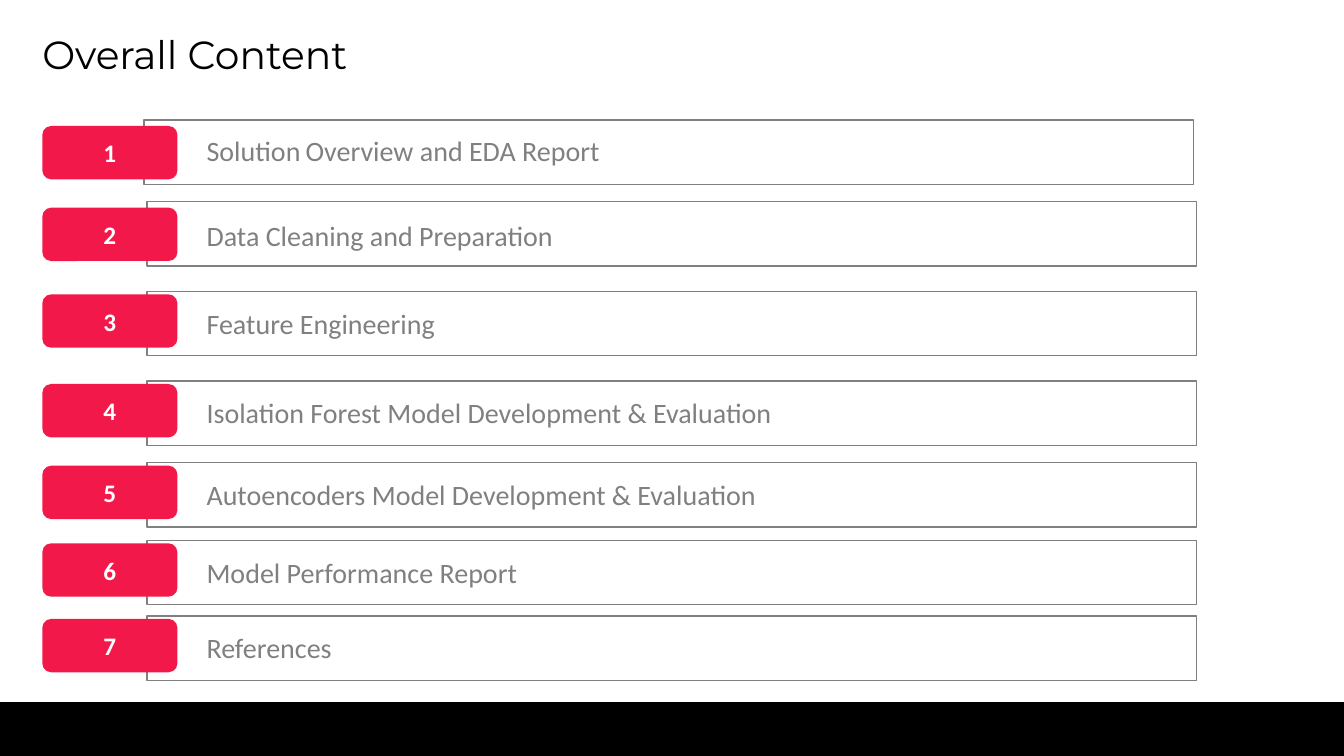
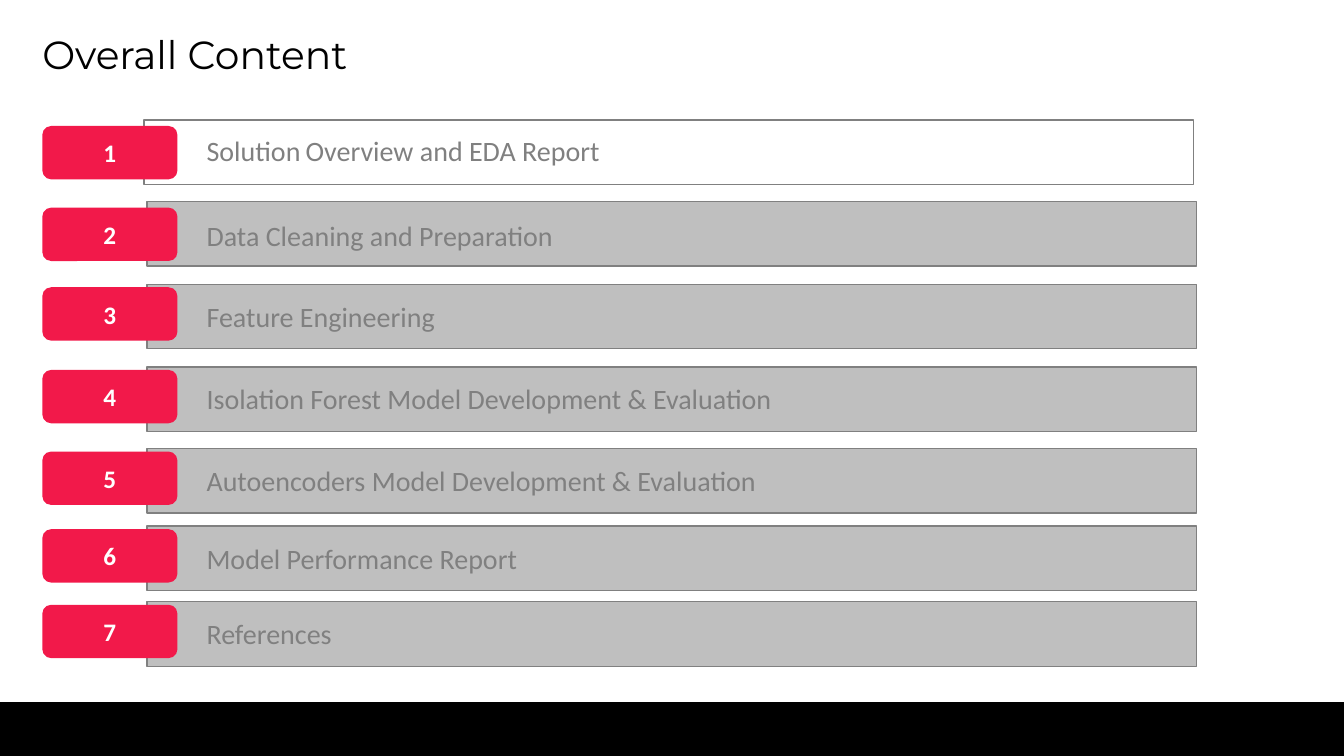
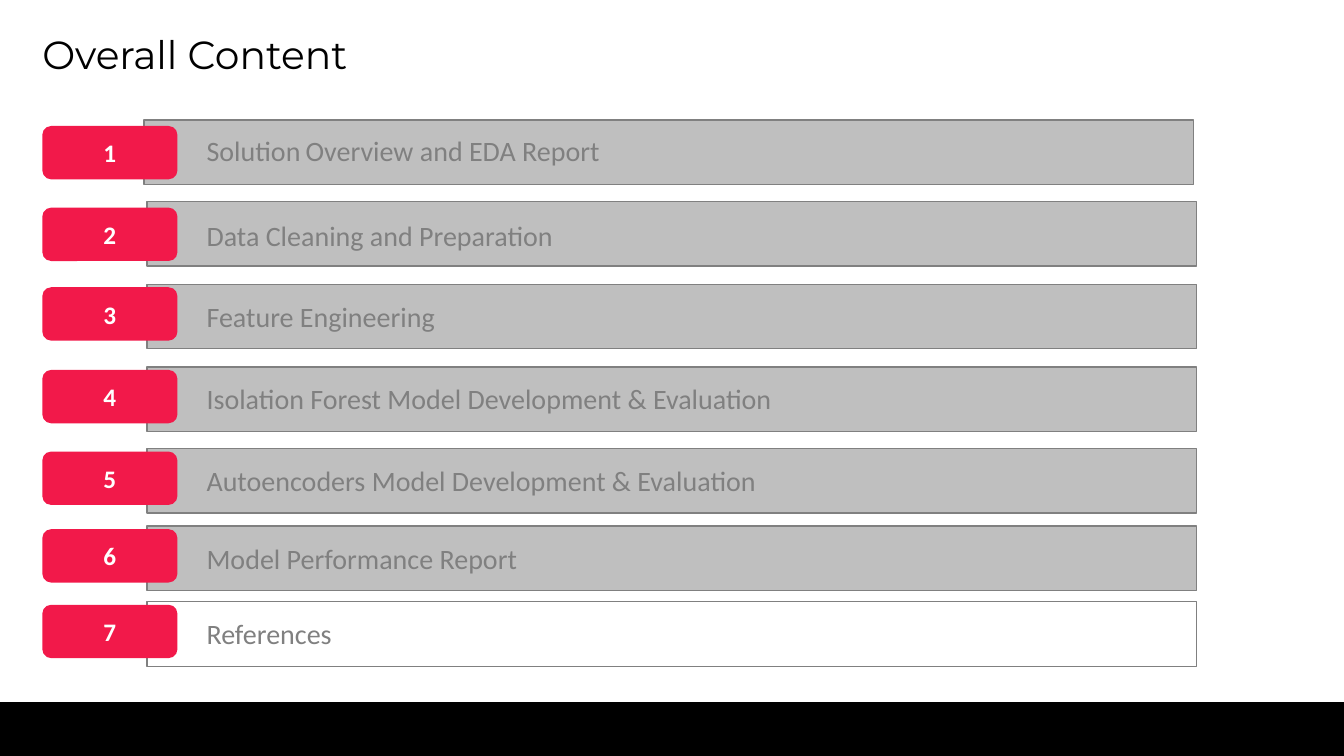
from pptx import Presentation
from pptx.dml.color import RGBColor
from pptx.enum.shapes import MSO_SHAPE
from pptx.enum.text import MSO_ANCHOR, MSO_AUTO_SIZE, PP_ALIGN
from pptx.util import Inches, Pt

# Agenda rows: text runs with sizes, bar left, bar top, badge and label offsets
AGENDA = [
    ([("Solution", 20), (" ", 16), ("Overview and EDA Report", 20)], 1.43, 1.19, 0.06, 0.03),
    ([("Data Cleaning and Preparation", 20)], 1.46, 2.0, 0.06, 0.06),
    ([("Feature Engineering", 20)], 1.46, 2.82, 0.03, 0.04),
    ([("Isolation Forest Model Development & Evaluation", 20)], 1.46, 3.64, 0.03, 0.04),
    ([("Autoencoders Model Development & Evaluation", 20)], 1.46, 4.45, 0.03, 0.04),
    ([("Model Performance Report", 20)], 1.46, 5.22, 0.03, 0.04),
    ([("References", 20)], 1.46, 5.97, 0.03, 0.04),
]
ROWS = range(1, len(AGENDA) + 1)

# Per slide: shaded row numbers, and how far rows are moved down
SLIDES = [
    (set(), {3: 0.07, 4: 0.14, 5: 0.14, 6: 0.14, 7: 0.14}),
    (set(ROWS) - {1}, {}),
    (set(ROWS) - {7}, {}),
]


def color(hex_value):
    return RGBColor.from_string(hex_value)


class AgendaDeck:
    BLACK, WHITE, RED = "000000", "FFFFFF", "F2194A"
    GRAY, SHADE = "808080", "BFBFBF"
    TITLE_FONT, BODY_FONT = "Montserrat", "Calibri"

    def __init__(self):
        self.deck = Presentation()
        self.deck.slide_width = Inches(13.33)
        self.deck.slide_height = Inches(7.5)
        self.slide = None

    # Shared parts of every slide
    def new_slide(self, heading):
        self.slide = self.deck.slides.add_slide(self.deck.slide_layouts[5])
        self.box(MSO_SHAPE.RECTANGLE, 0, 6.97, 13.33, 0.53, self.BLACK, self.BLACK)
        title = self.slide.shapes.title
        place = dict(left=0.32, top=0.23, width=7.65, height=0.59)
        for name, value in place.items():
            setattr(title, name, Inches(value))
        self.set_text(title, [(heading, 28)], self.TITLE_FONT, self.BLACK,
                      anchor=MSO_ANCHOR.BOTTOM, spacing=0.9)

    # Basic elements
    def box(self, kind, left, top, width, height, fill=None, line=None):
        shape = self.slide.shapes.add_shape(
            kind, Inches(left), Inches(top), Inches(width), Inches(height))
        shape.shadow.inherit = False
        if fill:
            shape.fill.solid()
            shape.fill.fore_color.rgb = color(fill)
        else:
            shape.fill.background()
        if line:
            shape.line.color.rgb = color(line)
            shape.line.width = Pt(1)
        else:
            shape.line.fill.background()
        return shape

    def set_text(self, shape, runs, font, ink, bold=False, align=PP_ALIGN.LEFT,
                 anchor=MSO_ANCHOR.MIDDLE, spacing=1.0):
        frame = shape.text_frame
        frame_style = dict(word_wrap=True, auto_size=MSO_AUTO_SIZE.NONE,
                           vertical_anchor=anchor)
        for name, value in frame_style.items():
            setattr(frame, name, value)
        paragraph = frame.paragraphs[0]
        paragraph.alignment = align
        paragraph.line_spacing = spacing
        for text, size in runs:
            run = paragraph.add_run()
            run.text = text
            for name, value in dict(name=font, size=Pt(size), bold=bold).items():
                setattr(run.font, name, value)
            run.font.color.rgb = color(ink)

    # Agenda elements
    def bar(self, left, top, shaded):
        self.box(MSO_SHAPE.RECTANGLE, left, top, 10.41, 0.64,
                 self.SHADE if shaded else None, self.GRAY)

    def badge(self, top, number):
        badge = self.box(MSO_SHAPE.ROUNDED_RECTANGLE, 0.42, top, 1.34, 0.53, self.RED)
        self.set_text(badge, [(str(number), 18)], self.BODY_FONT, self.WHITE,
                      bold=True, align=PP_ALIGN.CENTER)

    def label(self, top, runs):
        label = self.slide.shapes.add_textbox(
            Inches(1.95), Inches(top), Inches(7.65), Inches(0.59))
        self.set_text(label, runs, self.BODY_FONT, self.GRAY, spacing=0.9)

    def agenda(self, shaded, shifts):
        for number, (runs, left, base, badge_drop, label_drop) in enumerate(AGENDA, 1):
            top = base + shifts.get(number, 0)
            self.bar(left, top, number in shaded)
            self.badge(top + badge_drop, number)
            self.label(top + label_drop, runs)


def main():
    agenda_deck = AgendaDeck()
    for shaded, shifts in SLIDES:
        agenda_deck.new_slide("Overall Content")
        agenda_deck.agenda(shaded, shifts)
    agenda_deck.deck.save("out.pptx")


if __name__ == "__main__":
    main()
